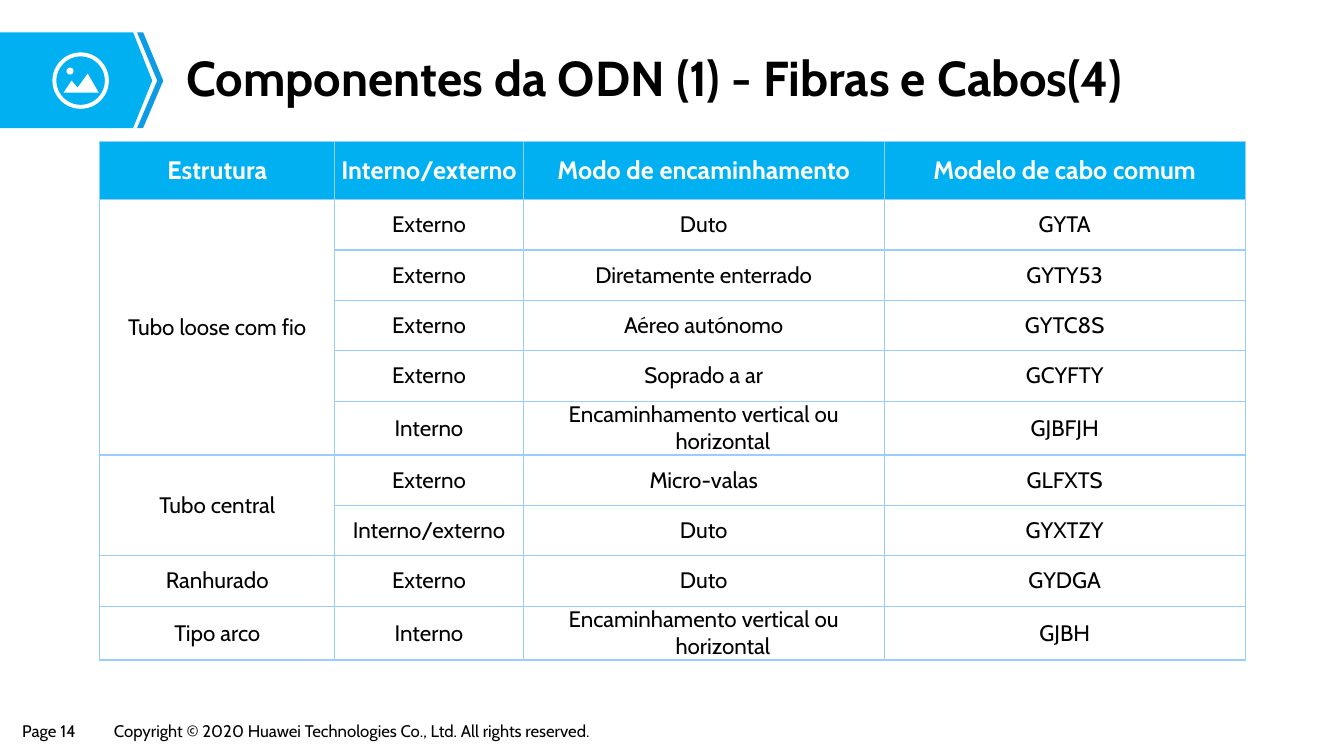
from typing import NamedTuple

from lxml.etree import SubElement
from pptx import Presentation
from pptx.dml.color import RGBColor
from pptx.enum.shapes import MSO_SHAPE as Preset
from pptx.enum.text import MSO_ANCHOR as Anchor, PP_ALIGN as Align
from pptx.oxml.ns import qn
from pptx.util import Emu, Inches, Pt

FONT = "Cabin"
BLACK = RGBColor(0x00, 0x00, 0x00)
WHITE = RGBColor(0xFF, 0xFF, 0xFF)
CYAN = RGBColor(0x00, 0xB0, 0xF0)
BLUE = RGBColor(0x0B, 0x9C, 0xE5)
BORDER = RGBColor(0x99, 0xCC, 0xFF)


class Label(NamedTuple):
    text: str
    left: float
    top: float
    width: float
    height: float
    size: float
    bold: bool = False
    wrap: bool = False
    inset_x: float = 0.09
    inset_y: float = 0.04
    line_spacing: float = 1.0


class Outline(NamedTuple):
    points: list[tuple[float, float]]
    color: RGBColor


class Preform(NamedTuple):
    preset: Preset
    left: float
    top: float
    size: float


class Cable(NamedTuple):
    place: str
    routing: str
    model: str


class Structure(NamedTuple):
    name: str
    cables: list[Cable]


LABELS = [
    Label("Page 14", 0.13, 7.11, 0.81, 0.29, 12),
    Label("Copyright © 2020 Huawei Technologies Co., Ltd. All rights reserved.",
          1.04, 7.11, 5.41, 0.29, 12),
    Label("Componentes da ODN (1) - Fibras e Cabos(4)", 1.74, 0.45, 10.75, 0.7, 35,
          bold=True, wrap=True, inset_x=0.11, inset_y=0.06, line_spacing=0.9),
]

BANNER = [
    Outline([(0, 0.32), (1.32, 0.32), (1.51, 0.8), (1.32, 1.27), (0, 1.27)], CYAN),
    Outline([(1.36, 0.32), (1.42, 0.32), (1.62, 0.8), (1.42, 1.27), (1.36, 1.27),
             (1.56, 0.8)], BLUE),
    Outline([(0.63, 0.92), (0.71, 0.8), (0.77, 0.87), (0.87, 0.73), (0.98, 0.92)], WHITE),
]
ICON_RING = Preform(Preset.DONUT, 0.52, 0.52, 0.56)
ICON_SUN = Preform(Preset.OVAL, 0.66, 0.67, 0.07)

HEADERS = ["Estrutura", "Interno/externo", "Modo de encaminhamento", "Modelo de cabo comum"]
COLUMN_WIDTHS = [2.33, 1.87, 3.58, 3.58]
HEADER_HEIGHT, ROW_HEIGHT = 0.58, 0.5
BOTH_WAYS = "Encaminhamento vertical ou horizontal"
STRUCTURES = [
    Structure("Tubo loose com fio", [
        Cable("Externo", "Duto", "GYTA"),
        Cable("Externo", "Diretamente enterrado", "GYTY53"),
        Cable("Externo", "Aéreo autónomo", "GYTC8S"),
        Cable("Externo", "Soprado a ar", "GCYFTY"),
        Cable("Interno", BOTH_WAYS, "GJBFJH"),
    ]),
    Structure("Tubo central", [
        Cable("Externo", "Micro-valas", "GLFXTS"),
        Cable("Interno/externo", "Duto", "GYXTZY"),
    ]),
    Structure("Ranhurado", [Cable("Externo", "Duto", "GYDGA")]),
    Structure("Tipo arco", [Cable("Interno", BOTH_WAYS, "GJBH")]),
]


def set_font(paragraph, size: float, color: RGBColor, bold: bool) -> None:
    font = paragraph.font
    font.name, font.size, font.bold = FONT, Pt(size), bold
    font.color.rgb = color


def add_label(slide, label: Label) -> None:
    box = slide.shapes.add_textbox(Inches(label.left), Inches(label.top),
                                   Inches(label.width), Inches(label.height))
    frame = box.text_frame
    frame.word_wrap = label.wrap
    frame.vertical_anchor = Anchor.MIDDLE if label.wrap else Anchor.TOP
    frame.margin_left = frame.margin_right = Inches(label.inset_x)
    frame.margin_top = frame.margin_bottom = Inches(label.inset_y)
    paragraph = frame.paragraphs[0]
    paragraph.text = label.text
    paragraph.line_spacing = label.line_spacing
    set_font(paragraph, label.size, BLACK, label.bold)


def paint(shape, color: RGBColor) -> None:
    """Give the shape a flat fill, without line or shadow."""
    shape.fill.solid()
    shape.fill.fore_color.rgb = color
    shape.line.fill.background()
    shape.shadow.inherit = False


def add_outline(slide, outline: Outline) -> None:
    start, *others = [(Inches(x), Inches(y)) for x, y in outline.points]
    builder = slide.shapes.build_freeform(*start)
    builder.add_line_segments(others, close=True)
    paint(builder.convert_to_shape(), outline.color)


def add_icon_part(slide, part: Preform):
    size = Inches(part.size)
    shape = slide.shapes.add_shape(part.preset, Inches(part.left), Inches(part.top), size, size)
    paint(shape, WHITE)
    return shape


def add_borders(cell) -> None:
    properties = cell._tc.get_or_add_tcPr()
    for side in ("lnL", "lnR", "lnT", "lnB"):
        line = SubElement(properties, qn(f"a:{side}"), w=str(Pt(1)))
        fill = SubElement(line, qn("a:solidFill"))
        SubElement(fill, qn("a:srgbClr"), val=str(BORDER))


def format_cell(cell, text: str, is_header: bool) -> None:
    add_borders(cell)
    cell.margin_left = cell.margin_right = cell.margin_top = cell.margin_bottom = 0
    cell.vertical_anchor = Anchor.MIDDLE
    if is_header:
        cell.fill.solid()
        cell.fill.fore_color.rgb = CYAN
    else:
        cell.fill.background()
    paragraph = cell.text_frame.paragraphs[0]
    paragraph.text = text
    paragraph.alignment = Align.CENTER
    indent = Inches(0.38)
    properties = paragraph._p.get_or_add_pPr()
    properties.set("marL", str(indent))
    properties.set("indent", str(-indent))
    set_font(paragraph, 18 if is_header else 16, WHITE if is_header else BLACK, is_header)


def add_cable_table(slide) -> None:
    rows = [HEADERS]
    spans = []
    for structure in STRUCTURES:
        spans.append((len(rows), len(rows) + len(structure.cables) - 1))
        for index, cable in enumerate(structure.cables):
            rows.append([structure.name if index == 0 else "", *cable])

    height = HEADER_HEIGHT + ROW_HEIGHT * (len(rows) - 1)
    table = slide.shapes.add_table(len(rows), len(HEADERS), Inches(0.99), Inches(1.4),
                                   Inches(sum(COLUMN_WIDTHS)), Inches(height)).table
    table.horz_banding = False
    for column, width in zip(table.columns, COLUMN_WIDTHS):
        column.width = Inches(width)
    for row_index, texts in enumerate(rows):
        is_header = row_index == 0
        table.rows[row_index].height = Inches(HEADER_HEIGHT if is_header else ROW_HEIGHT)
        for column_index, text in enumerate(texts):
            format_cell(table.cell(row_index, column_index), text, is_header)
    for first, last in spans:
        if last > first:
            table.cell(first, 0).merge(table.cell(last, 0))


def main() -> None:
    presentation = Presentation()
    presentation.slide_width, presentation.slide_height = Inches(13.33), Inches(7.5)
    slide = presentation.slides.add_slide(presentation.slide_layouts[6])
    for outline in BANNER:
        add_outline(slide, outline)
    add_icon_part(slide, ICON_RING).adjustments[0] = 0.07
    add_icon_part(slide, ICON_SUN)
    for label in LABELS:
        add_label(slide, label)
    add_cable_table(slide)
    presentation.save("out.pptx")


if __name__ == "__main__":
    main()
